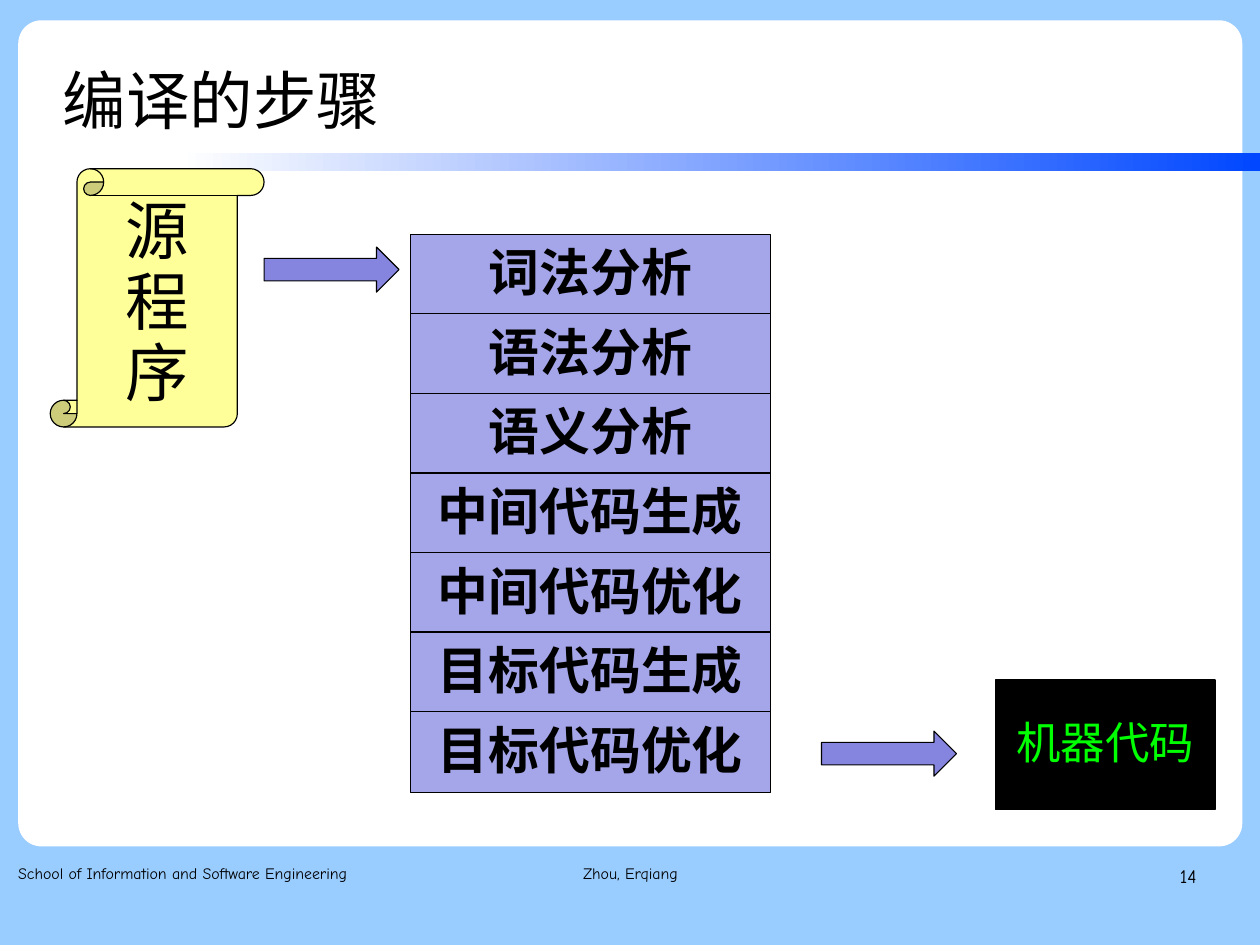
from lxml import etree
from pptx import Presentation
from pptx.dml.color import RGBColor
from pptx.enum.shapes import MSO_SHAPE
from pptx.enum.text import MSO_ANCHOR, MSO_AUTO_SIZE, PP_ALIGN
from pptx.oxml.ns import qn
from pptx.util import Cm, Pt

RECT, ROUND_RECT = MSO_SHAPE.RECTANGLE, MSO_SHAPE.ROUNDED_RECTANGLE
SCROLL, ARROW = MSO_SHAPE.VERTICAL_SCROLL, MSO_SHAPE.RIGHT_ARROW
TOP, MIDDLE = MSO_ANCHOR.TOP, MSO_ANCHOR.MIDDLE
LEFT, CENTER, RIGHT = PP_ALIGN.LEFT, PP_ALIGN.CENTER, PP_ALIGN.RIGHT

SKY = RGBColor(0x99, 0xCC, 0xFF)
WHITE = RGBColor(0xFF, 0xFF, 0xFF)
BLACK = RGBColor(0, 0, 0)
BLUE = RGBColor(0x00, 0x47, 0xFF)
LILAC = RGBColor(0xA5, 0xA5, 0xE9)
VIOLET = RGBColor(0x85, 0x85, 0xE0)
YELLOW = RGBColor(0xFF, 0xFF, 0x99)
GREEN = RGBColor(0x00, 0xFF, 0x00)

CJK = "Noto Sans CJK SC"
WIDTH, HEIGHT = Cm(28), Cm(21)

STEPS = ["词法分析", "语法分析", "语义分析", "中间代码生成",
         "中间代码优化", "目标代码生成", "目标代码优化"]
STEP_TOP, STEP_PITCH = 24.79, 8.42
FOOTERS = [
    (1.45, 30.67, "School of Information and Software Engineering", 10, LEFT),
    (34.2, 31.66, "Zhou, Erqiang", 10, CENTER),
    (71.66, 23.32, "14", 12, RIGHT),
]


def box(left, top, width, height):
    """Turn percentages of the slide's width and height into lengths."""
    return (int(WIDTH * left / 100), int(HEIGHT * top / 100),
            int(WIDTH * width / 100), int(HEIGHT * height / 100))


def set_text(sp, lines, size, font, color=BLACK, bold=False, align=CENTER,
             anchor=MIDDLE, spacing=0.93, inset=None):
    tf = sp.text_frame
    frame_format = {"word_wrap": True, "auto_size": MSO_AUTO_SIZE.NONE,
                    "vertical_anchor": anchor}
    if inset is not None:
        for side in ("left", "top", "right", "bottom"):
            frame_format["margin_" + side] = inset
    for name, value in frame_format.items():
        setattr(tf, name, value)
    for i, line in enumerate(lines):
        p = tf.add_paragraph() if i else tf.paragraphs[0]
        p.alignment, p.line_spacing = align, spacing
        p.space_before = Pt(0)
        r = p.add_run()
        r.text = line
        for name, value in {"size": Pt(size), "name": font, "bold": bold}.items():
            setattr(r.font, name, value)
        r.font.color.rgb = color
        ea = etree.SubElement(r.font._element, qn("a:ea"))
        ea.set("typeface", font)


def add_block(s, kind, place, fill, outlined=True, adjustment=None):
    sp = s.shapes.add_shape(kind, *box(*place))
    sp.shadow.inherit = False
    sp.fill.solid()
    sp.fill.fore_color.rgb = fill
    if outlined:
        sp.line.color.rgb = BLACK
        sp.line.width = Pt(0.75)
    else:
        sp.line.fill.background()
    if adjustment is not None:
        sp.adjustments[0] = adjustment
    return sp


def add_backdrop(s):
    s.background.fill.solid()
    s.background.fill.fore_color.rgb = SKY
    add_block(s, ROUND_RECT, (1.45, 2.15, 97.15, 87.42), WHITE, False, 0.028)
    band = add_block(s, RECT, (14.25, 16.2, 85.75, 1.93), BLUE, False)
    band.fill.gradient()
    band.fill.gradient_angle = 0
    for stop, color in zip(band.fill.gradient_stops, (WHITE, BLUE)):
        stop.color.rgb = color


def add_title(s, text):
    title = s.shapes.title
    title.left, title.top, title.width, title.height = box(4.99, 3.99, 77.86, 12.21)
    set_text(title, [text], 40, "Arial", align=LEFT, spacing=1.1, inset=0)
    s.shapes._spTree.append(title._element)  # in front of the backdrop


def add_steps(s):
    for i, step in enumerate(STEPS):
        place = (32.57, STEP_TOP + i * STEP_PITCH, 28.58, 8.59)
        set_text(add_block(s, RECT, place, LILAC), [step], 32, CJK, bold=True)


def add_footers(s):
    for left, width, text, size, align in FOOTERS:
        sp = s.shapes.add_textbox(*box(left, 91.05, width, 6.89))
        set_text(sp, [text], size, "Comic Neue", align=align, anchor=TOP,
                 spacing=1.16, inset=0)


def main():
    prs = Presentation()
    prs.slide_width, prs.slide_height = WIDTH, HEIGHT
    s = prs.slides.add_slide(prs.slide_layouts[5])
    add_backdrop(s)
    add_title(s, "编译的步骤")
    add_steps(s)
    source = add_block(s, SCROLL, (3.99, 17.85, 16.97, 27.33), YELLOW)
    set_text(source, "源程序", 40, CJK)
    for left, top in ((20.96, 26.15), (65.2, 77.37)):
        add_block(s, ARROW, (left, top, 10.71, 4.76), VIOLET)
    machine = add_block(s, RECT, (79.01, 71.95, 17.42, 13.7), BLACK)
    set_text(machine, ["机器代码"], 28, CJK, GREEN)
    add_footers(s)
    prs.save("out.pptx")


if __name__ == "__main__":
    main()
